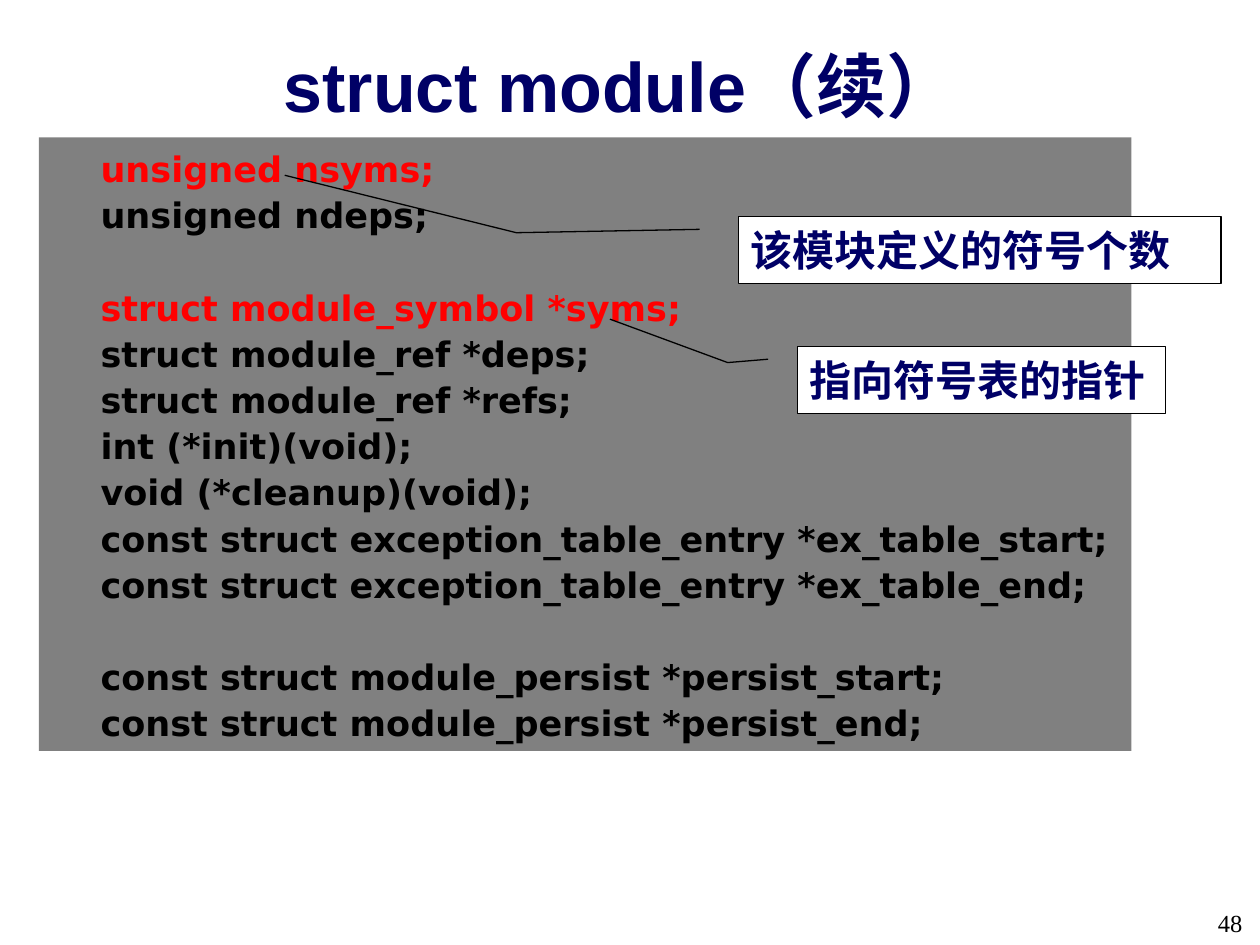
from dataclasses import dataclass

from lxml.etree import SubElement
from pptx import Presentation
from pptx.dml.color import RGBColor
from pptx.enum.shapes import MSO_SHAPE as Shape
from pptx.enum.text import MSO_ANCHOR as Anchor, PP_ALIGN as Align
from pptx.oxml.ns import qn
from pptx.util import Inches, Pt

WIDTH, HEIGHT = Inches(10), Inches(7.5)


@dataclass(frozen=True)
class Theme:
    navy: str = "000066"
    red: str = "FF0000"
    black: str = "000000"
    white: str = "FFFFFF"
    gray: str = "808080"
    heading: str = "Arial"
    body: str = "DejaVu Sans"
    number: str = "Times New Roman"
    title_size: float = 40
    callout_size: float = 24
    code_size: float = 20
    number_size: float = 14
    code_line: float = 26.4


T = Theme()


@dataclass(frozen=True)
class Box:
    """Position and size in percent of the slide's width and height."""
    x: float
    y: float
    w: float
    h: float

    def emu(self) -> tuple[int, ...]:
        spans = (WIDTH, HEIGHT, WIDTH, HEIGHT)
        return tuple(round(v * span / 100) for v, span in
                     zip((self.x, self.y, self.w, self.h), spans))


@dataclass(frozen=True)
class CodeLine:
    text: str
    color: str = T.black
    gap: bool = False


@dataclass(frozen=True)
class Callout:
    text: str
    box: Box
    leader: tuple[float, ...]


CODE = [
    CodeLine("unsigned nsyms;", T.red),
    CodeLine("unsigned ndeps;"),
    CodeLine("struct module_symbol *syms;", T.red, gap=True),
    CodeLine("struct module_ref *deps;"),
    CodeLine("struct module_ref *refs;"),
    CodeLine("int (*init)(void);"),
    CodeLine("void (*cleanup)(void);"),
    CodeLine("const struct exception_table_entry *ex_table_start;"),
    CodeLine("const struct exception_table_entry *ex_table_end;"),
    CodeLine("const struct module_persist *persist_start;", gap=True),
    CodeLine("const struct module_persist *persist_end;"),
]

# Leader points run y, x from the box outwards, as shares of the box.
CALLOUTS = [
    Callout("该模块定义的符号个数", Box(58.6, 22.93, 38.3, 7.07),
            (0.19, -0.08, 0.24, -0.46, -0.62, -0.94)),
    Callout("指向符号表的指针", Box(63.3, 36.67, 29.2, 7.07),
            (0.19, -0.08, 0.24, -0.19, -0.41, -0.51)),
]


def add_run(p, text: str, font: str, size: float, color: str, bold: bool = True) -> None:
    r = p.add_run()
    r.text = text
    r.font.name, r.font.size, r.font.bold = font, Pt(size), bold
    r.font.color.rgb = RGBColor.from_string(color)


def setup_frame(sp, anchor: Anchor):
    tf = sp.text_frame
    tf.word_wrap = True
    tf.vertical_anchor = anchor
    return tf


def add_label(s, box: Box, align: Align, anchor: Anchor):
    """Add a plain text box and return its first paragraph."""
    p = setup_frame(s.shapes.add_textbox(*box.emu()), anchor).paragraphs[0]
    p.alignment = align
    return p


def add_panel(s, kind: Shape, box: Box, fill: str):
    sp = s.shapes.add_shape(kind, *box.emu())
    sp.shadow.inherit = False
    sp.fill.solid()
    sp.fill.fore_color.rgb = RGBColor.from_string(fill)
    sp.line.fill.background()
    return sp


def add_code(s, box: Box, lines: list[CodeLine]) -> None:
    tf = setup_frame(add_panel(s, Shape.RECTANGLE, box, T.gray), Anchor.TOP)
    for i, line in enumerate(lines):
        p = tf.add_paragraph() if i else tf.paragraphs[0]
        tabs = SubElement(p._p.get_or_add_pPr(), qn("a:tabLst"))
        SubElement(tabs, qn("a:tab"), pos=str(Inches(0.39)), algn="l")
        p.alignment = Align.LEFT
        p.line_spacing = 1.1
        if line.gap:
            p.space_before = Pt(T.code_line)
        add_run(p, "\t" + line.text, T.body, T.code_size, line.color)


def add_callout(s, callout: Callout) -> None:
    sp = add_panel(s, Shape.LINE_CALLOUT_2, callout.box, T.white)
    sp.line.color.rgb = RGBColor.from_string(T.black)
    sp.line.width = Pt(0.75)
    for i, share in enumerate(callout.leader):
        sp.adjustments[i] = share
    p = setup_frame(sp, Anchor.MIDDLE).paragraphs[0]
    p.alignment = Align.LEFT
    add_run(p, callout.text, T.body, T.callout_size, T.navy)


def main() -> None:
    prs = Presentation()
    prs.slide_width, prs.slide_height = WIDTH, HEIGHT
    s = prs.slides.add_slide(prs.slide_layouts[6])

    number = add_label(s, Box(92, 95.47, 7.6, 4.53), Align.RIGHT, Anchor.TOP)
    add_run(number, "48", T.number, T.number_size, T.black, bold=False)

    title = add_label(s, Box(6.7, 5.6, 85, 7.73), Align.CENTER, Anchor.MIDDLE)
    title.line_spacing = 0.9
    add_run(title, "struct module（续）", T.heading, T.title_size, T.navy)

    add_code(s, Box(3.1, 14.53, 86.7, 64.93), CODE)
    for callout in CALLOUTS:
        add_callout(s, callout)

    prs.save("out.pptx")


if __name__ == "__main__":
    main()
